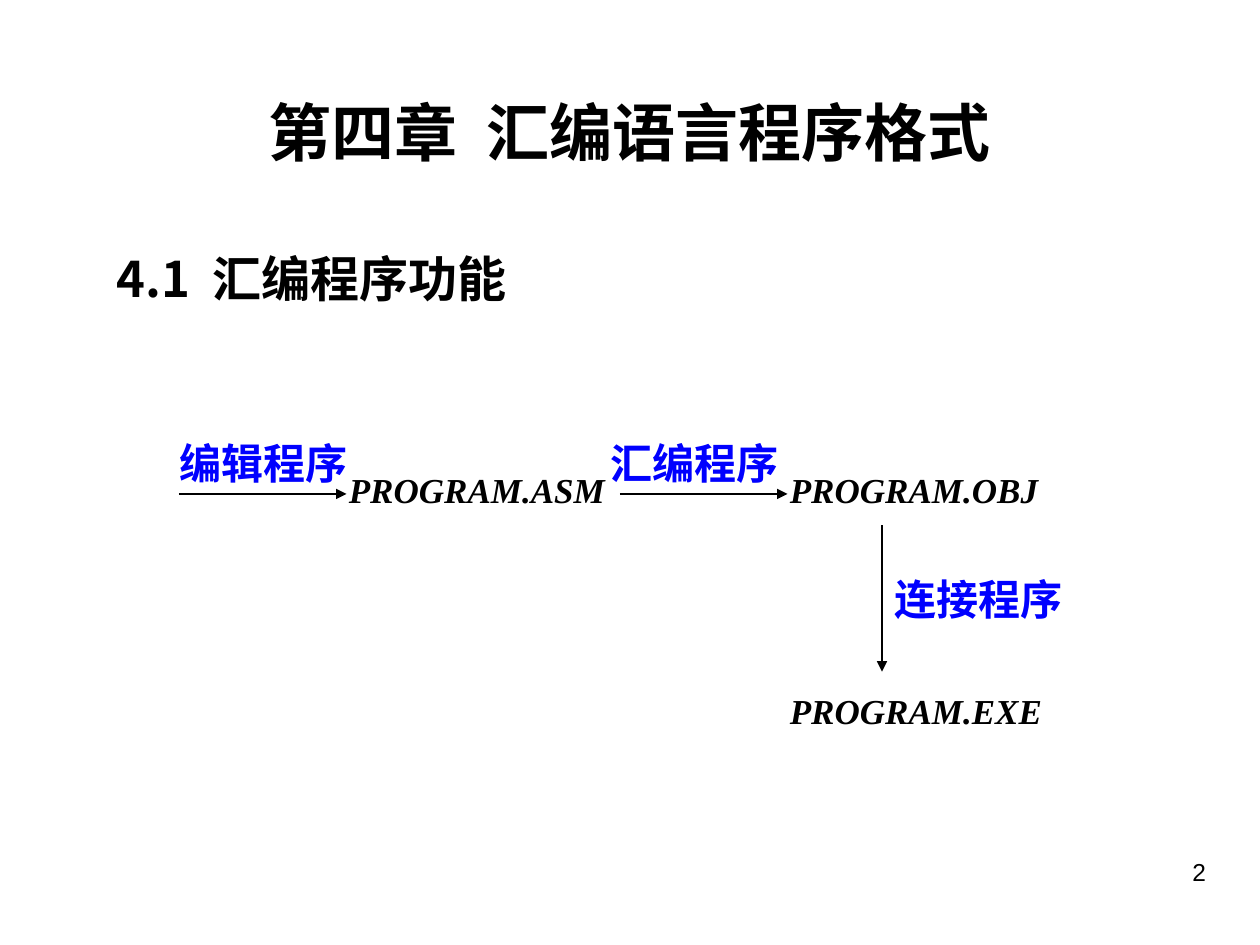
from dataclasses import dataclass

import pptx
import pptx.dml.color
import pptx.enum.shapes
import pptx.enum.text
import pptx.oxml.ns
import pptx.util
from lxml import etree
from pptx.util import Inches

ALIGN = pptx.enum.text.PP_ALIGN
ANCHOR = pptx.enum.text.MSO_ANCHOR


@dataclass(frozen=True)
class Theme:
    ink: str = "000000"
    accent: str = "0000FF"
    cjk: str = "Noto Sans CJK SC"
    serif: str = "Times New Roman"
    sans: str = "Arial"
    title_size: int = 36
    section_size: int = 28
    tool_size: int = 24
    file_size: int = 20
    number_size: int = 14
    line_width: float = 0.75


THEME = Theme()


@dataclass(frozen=True)
class TextStyle:
    size: int
    font: str
    color: str = THEME.ink
    bold: bool = True
    italic: bool = False
    align: ALIGN = ALIGN.JUSTIFY
    anchor: ANCHOR = ANCHOR.TOP


TITLE = TextStyle(THEME.title_size, THEME.cjk, align=ALIGN.CENTER, anchor=ANCHOR.MIDDLE)
SECTION = TextStyle(THEME.section_size, THEME.cjk)
TOOL = TextStyle(THEME.tool_size, THEME.serif, THEME.accent)
FILE = TextStyle(THEME.file_size, THEME.serif, italic=True)
NUMBER = TextStyle(THEME.number_size, THEME.sans, bold=False, align=ALIGN.RIGHT)


@dataclass(frozen=True)
class Label:
    text: str
    left: float
    top: float
    width: float
    height: float
    style: TextStyle


@dataclass(frozen=True)
class Arrow:
    x1: float
    y1: float
    x2: float
    y2: float


def tool(text: str, left: float, top: float) -> Label:
    return Label(text, left, top, 1.58, 0.5, TOOL)


def program_file(extension: str, left: float, top: float) -> Label:
    return Label(f"PROGRAM.{extension}", left, top, 2.58, 0.43, FILE)


HEADINGS = [
    Label("2", 7.17, 6.75, 2.5, 0.52, NUMBER),
    Label("第四章  汇编语言程序格式", 0.33, 0.42, 9.33, 1.25, TITLE),
    Label("4.1  汇编程序功能", 0.83, 1.92, 4.17, 0.57, SECTION),
]
FLOW = [
    tool("编辑程序", 1.33, 3.42),
    Arrow(1.42, 3.92, 2.75, 3.92),
    program_file("ASM", 2.67, 3.67),
    tool("汇编程序", 4.75, 3.42),
    Arrow(4.92, 3.92, 6.25, 3.92),
    program_file("OBJ", 6.17, 3.67),
    tool("连接程序", 7, 4.5),
    Arrow(7, 4.17, 7, 5.33),
    program_file("EXE", 6.17, 5.42),
]


def draw_label(shapes, label: Label) -> None:
    style = label.style
    box = shapes.add_textbox(
        Inches(label.left), Inches(label.top), Inches(label.width), Inches(label.height)
    )
    frame = box.text_frame
    frame.word_wrap = True
    frame.vertical_anchor = style.anchor
    frame.text = label.text
    paragraph = frame.paragraphs[0]
    paragraph.alignment = style.align
    font = paragraph.runs[0].font
    font.size = pptx.util.Pt(style.size)
    font.name = style.font
    font.bold = style.bold
    font.italic = style.italic
    font.color.rgb = pptx.dml.color.RGBColor.from_string(style.color)
    # Chinese characters take their typeface from a:ea
    properties = paragraph.runs[0]._r.get_or_add_rPr()
    etree.SubElement(properties, pptx.oxml.ns.qn("a:ea"), typeface=THEME.cjk)


def draw_arrow(shapes, arrow: Arrow) -> None:
    connector = shapes.add_connector(
        pptx.enum.shapes.MSO_CONNECTOR.STRAIGHT,
        Inches(arrow.x1), Inches(arrow.y1), Inches(arrow.x2), Inches(arrow.y2),
    )
    connector.line.width = pptx.util.Pt(THEME.line_width)
    connector.line.color.rgb = pptx.dml.color.RGBColor.from_string(THEME.ink)
    line = connector.line._get_or_add_ln()
    etree.SubElement(line, pptx.oxml.ns.qn("a:tailEnd"), type="triangle")
    etree.SubElement(connector._element.spPr, pptx.oxml.ns.qn("a:effectLst"))


def main() -> None:
    presentation = pptx.Presentation()
    presentation.slide_width = Inches(10)
    presentation.slide_height = Inches(7.5)
    slide = presentation.slides.add_slide(presentation.slide_layouts[6])
    for heading in HEADINGS:
        draw_label(slide.shapes, heading)
    flow_shapes = slide.shapes.add_group_shape().shapes
    for part in FLOW:
        if isinstance(part, Arrow):
            draw_arrow(flow_shapes, part)
        else:
            draw_label(flow_shapes, part)
    presentation.save("out.pptx")


if __name__ == "__main__":
    main()
